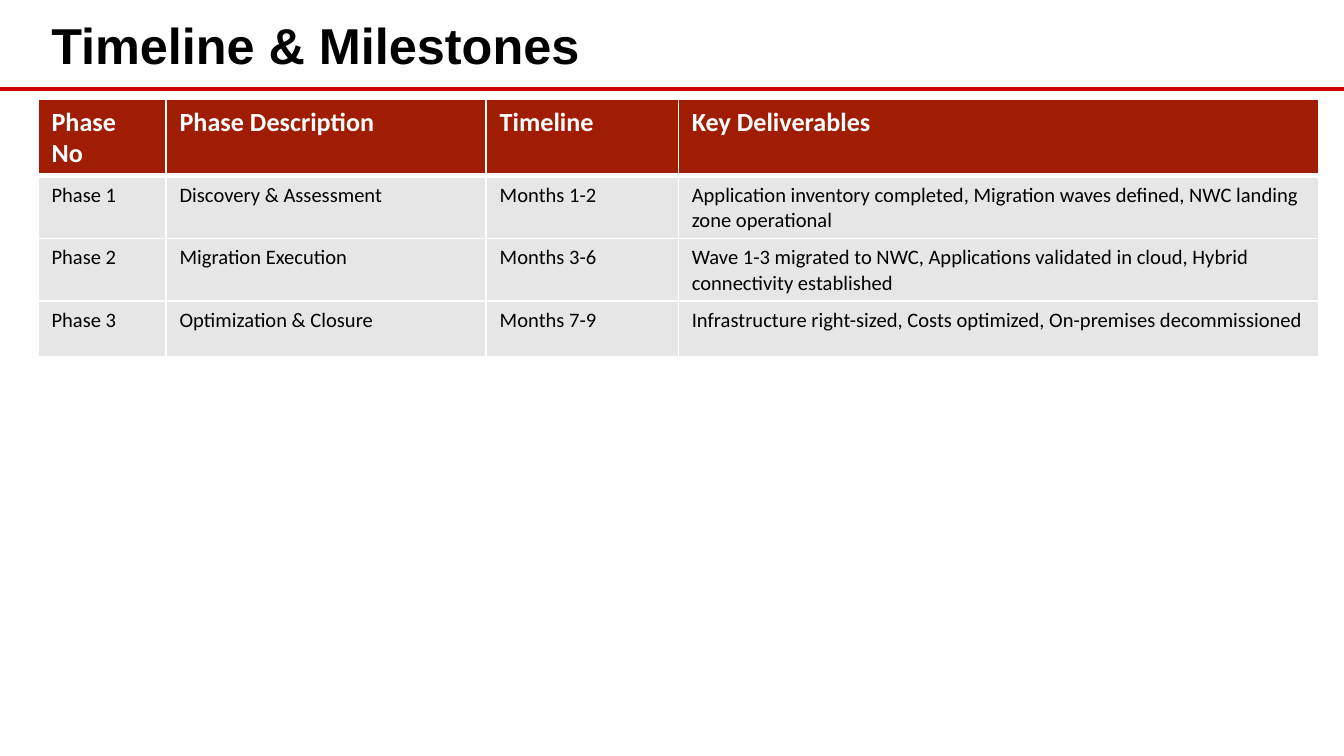
from lxml.etree import SubElement
from pptx import Presentation
from pptx.dml.color import RGBColor
from pptx.enum.shapes import MSO_CONNECTOR
from pptx.enum.text import MSO_ANCHOR
from pptx.oxml.ns import qn
from pptx.util import Cm, Pt

WIDE, HIGH = 25.4, 14.29
LEFT = 0.72
COLS = [2.42, 6.05, 3.63, 12.1]
ROW = 1.04
ROWS = [
    ["Phase No", "Phase Description", "Timeline", "Key Deliverables"],
    ["Phase 1", "Discovery & Assessment", "Months 1-2",
     "Application inventory completed, Migration waves defined, "
     "NWC landing zone operational"],
    ["Phase 2", "Migration Execution", "Months 3-6",
     "Wave 1-3 migrated to NWC, Applications validated in cloud, "
     "Hybrid connectivity established"],
    ["Phase 3", "Optimization & Closure", "Months 7-9",
     "Infrastructure right-sized, Costs optimized, "
     "On-premises decommissioned"],
]


def paint(target, color):
    """Give a fill a solid colour."""
    target.solid()
    target.fore_color.rgb = RGBColor.from_string(color)


def style(frame, name, size, color, bold):
    for para in frame.paragraphs:
        for run in para.runs:
            font = run.font
            font.name, font.size, font.bold = name, Pt(size), bold
            paint(font.fill, color)


def add_title(slide, text):
    box = slide.shapes.add_textbox(Cm(LEFT), Cm(0.1), Cm(sum(COLS)), Cm(1.47))
    frame = box.text_frame
    frame.word_wrap = True
    frame.vertical_anchor = MSO_ANCHOR.MIDDLE
    frame.text = text
    style(frame, "Arial", 27, "000000", True)


def add_rule(slide, top):
    rule = slide.shapes.add_connector(
        MSO_CONNECTOR.STRAIGHT, Cm(0), Cm(top), Cm(WIDE), Cm(top))
    paint(rule.line.fill, "CC0000")
    rule.line.width = Pt(2.25)
    SubElement(rule._element.spPr, qn("a:effectLst"))


def add_edges(cell, top, base):
    """Draw white cell borders; widths in points."""
    props = cell._tc.get_or_add_tcPr()
    for side, width in (("L", 1), ("R", 1), ("T", top), ("B", base)):
        edge = SubElement(props, qn(f"a:ln{side}"), w=str(Pt(width)))
        fill = SubElement(edge, qn("a:solidFill"))
        SubElement(fill, qn("a:srgbClr"), val="FFFFFF")


def add_grid(slide, top):
    grid = slide.shapes.add_table(
        len(ROWS), len(COLS), Cm(LEFT), Cm(top),
        Cm(sum(COLS)), Cm(ROW * len(ROWS))).table
    for col, width in zip(grid.columns, COLS):
        col.width = Cm(width)
    for i, texts in enumerate(ROWS):
        head = i == 0
        grid.rows[i].height = Cm(ROW)
        for j, text in enumerate(texts):
            cell = grid.cell(i, j)
            add_edges(cell, 3 if i == 1 else 1, 3 if head else 1)
            paint(cell.fill, "A01C02" if head else "E7E6E6")
            cell.text_frame.text = text
            if head:
                style(cell.text_frame, "Calibri", 14, "FFFFFF", True)
            else:
                style(cell.text_frame, "Calibri", 11, "000000", False)


def main():
    deck = Presentation()
    deck.slide_width, deck.slide_height = Cm(WIDE), Cm(HIGH)
    slide = deck.slides.add_slide(deck.slide_layouts[6])
    add_rule(slide, 1.68)
    add_title(slide, "Timeline & Milestones")
    add_grid(slide, 1.88)
    deck.save("out.pptx")


if __name__ == "__main__":
    main()
